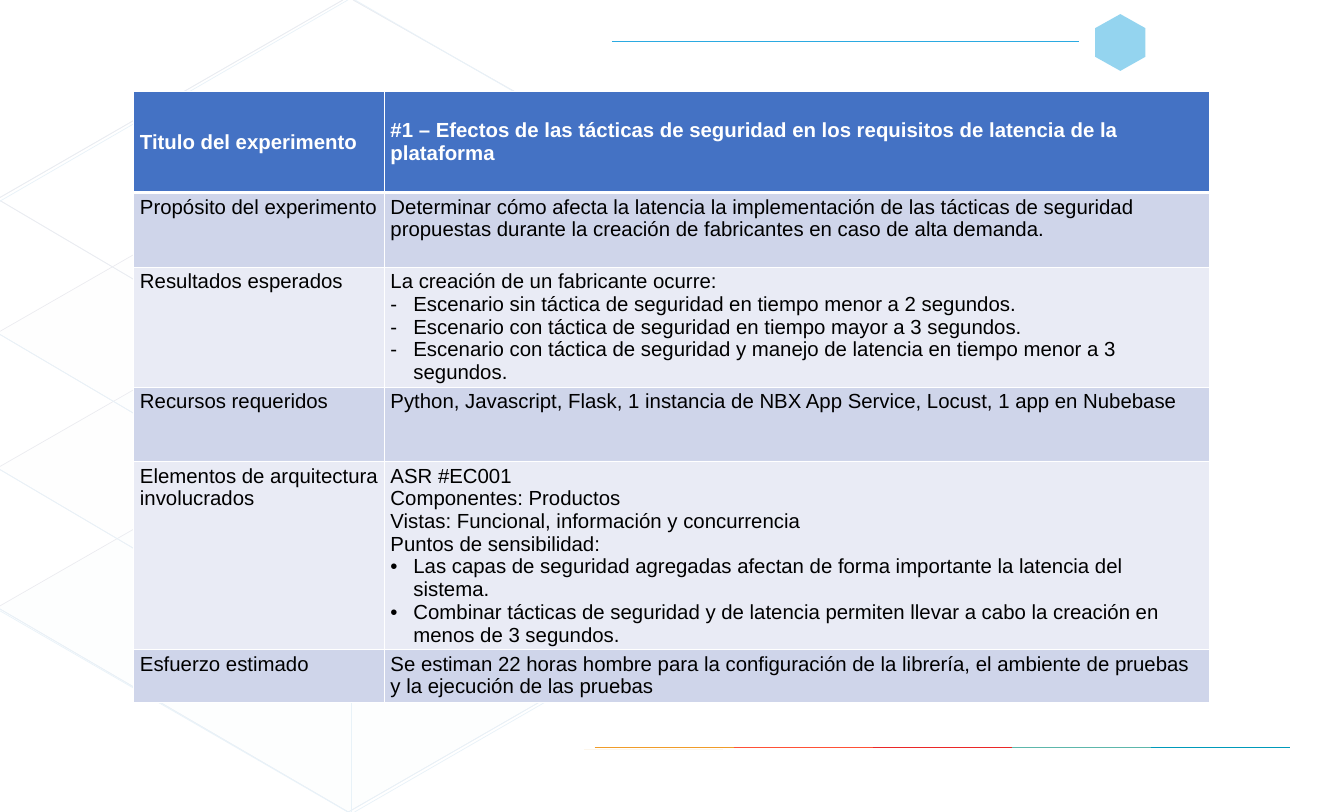
from dataclasses import dataclass
from typing import Optional

from lxml.etree import SubElement
from pptx import Presentation
from pptx.dml.color import RGBColor
from pptx.enum.shapes import MSO_CONNECTOR as Connector, MSO_SHAPE as Preset
from pptx.enum.text import MSO_ANCHOR as Anchor
from pptx.oxml.ns import qn
from pptx.util import Inches, Pt

WIDTH, HEIGHT = Inches(21.99), Inches(13.28)
FONT = "Arial"
WHITE = RGBColor(0xFF, 0xFF, 0xFF)
BLACK = RGBColor(0x00, 0x00, 0x00)
SKY = RGBColor(0x2B, 0xAA, 0xE1)
BLUE = RGBColor(0x08, 0x70, 0xB7)
NAVY = RGBColor(0x28, 0x28, 0x5B)
ORANGE = RGBColor(0xF0, 0x9C, 0x29)
CORAL = RGBColor(0xFF, 0x51, 0x36)
RED = RGBColor(0xEA, 0x28, 0x28)
MINT = RGBColor(0x5D, 0xB7, 0xAB)
TEAL = RGBColor(0x00, 0x9A, 0xBA)
HEADER_FILL = RGBColor(0x44, 0x72, 0xC4)
BAND_FILLS = (RGBColor(0xE9, 0xEB, 0xF5), RGBColor(0xCF, 0xD5, 0xEA))

Point = tuple[float, float]


@dataclass(frozen=True)
class Outline:
    points: tuple[Point, ...]
    color: RGBColor
    opacity: Optional[int] = None


@dataclass(frozen=True)
class Rule:
    start: Point
    end: Point
    color: RGBColor
    weight: float = 0.86


@dataclass(frozen=True)
class Entry:
    text: str
    bullet: str = ""


@dataclass(frozen=True)
class Row:
    height: float
    label: str
    entries: tuple[Entry, ...]


def across(percent: float) -> int:
    return round(WIDTH * percent / 100)


def down(percent: float) -> int:
    return round(HEIGHT * percent / 100)


def fill_shape(shape, color: RGBColor, opacity: int) -> None:
    shape.shadow.inherit = False
    shape.fill.solid()
    shape.fill.fore_color.rgb = color
    shape.line.fill.background()
    tint = next(shape._element.spPr.iter(qn("a:srgbClr")))
    SubElement(tint, qn("a:alpha"), val=str(opacity * 1000))


def draw_outline(slide, outline: Outline) -> None:
    first, *rest = [(across(x), down(y)) for x, y in outline.points]
    builder = slide.shapes.build_freeform(*first)
    builder.add_line_segments(rest, close=outline.opacity is not None)
    shape = builder.convert_to_shape()
    if outline.opacity is not None:
        fill_shape(shape, outline.color, outline.opacity)
        return
    shape.shadow.inherit = False
    shape.fill.background()
    shape.line.color.rgb = outline.color
    shape.line.width = Pt(0.86)


def draw_rule(slide, rule: Rule) -> None:
    (x1, y1), (x2, y2) = rule.start, rule.end
    line = slide.shapes.add_connector(
        Connector.STRAIGHT, across(x1), down(y1), across(x2), down(y2))
    line.line.color.rgb = rule.color
    line.line.width = Pt(rule.weight)
    SubElement(line._element.spPr, qn("a:effectLst"))


def draw_tier(slide, top: float, opacity: int) -> None:
    left, peak, right, base, low = (
        (0, top + 24.62), (25.92, top), (52.34, top + 24.85),
        (25.92, min(top + 50.3, 100)), (0, top + 25))
    draw_outline(slide, Outline((left, peak, right, base, low), SKY, opacity))
    draw_outline(slide, Outline((left, peak, right, base, low), NAVY))
    draw_outline(slide, Outline((right, base, low), BLUE))


def write_cell(cell, entries: tuple[Entry, ...], header: bool) -> None:
    for index, entry in enumerate(entries):
        frame = cell.text_frame
        paragraph = frame.add_paragraph() if index else frame.paragraphs[0]
        if entry.bullet:
            properties = paragraph._p.get_or_add_pPr()
            properties.set("marL", "342900")
            properties.set("indent", "-342900")
            SubElement(properties, qn("a:buFont"), typeface=FONT)
            SubElement(properties, qn("a:buChar"), char=entry.bullet)
        run = paragraph.add_run()
        run.text = entry.text
        run.font.name = FONT
        run.font.size = Pt(24)
        run.font.bold = header
        run.font.color.rgb = WHITE if header else BLACK


def style_cell(cell, row: int) -> None:
    cell.vertical_anchor = Anchor.TOP if row else Anchor.MIDDLE
    cell.fill.solid()
    cell.fill.fore_color.rgb = BAND_FILLS[row % 2] if row else HEADER_FILL
    properties = cell._tc.get_or_add_tcPr()
    weights = {"L": 1, "R": 1, "T": 3 if row == 1 else 1, "B": 1 if row else 3}
    for index, (side, weight) in enumerate(weights.items()):
        border = SubElement(properties, qn(f"a:ln{side}"), w=str(Pt(weight)))
        solid = SubElement(border, qn("a:solidFill"))
        SubElement(solid, qn("a:srgbClr"), val=str(WHITE))
        properties.insert(index, border)


def draw_table(slide, rows: tuple[Row, ...]) -> None:
    widths = (18.64, 61.35)
    table = slide.shapes.add_table(
        len(rows), len(widths), across(9.96), down(11.3),
        across(sum(widths)), down(sum(row.height for row in rows))).table
    for column, width in zip(table.columns, widths):
        column.width = across(width)
    for index, row in enumerate(rows):
        table.rows[index].height = down(row.height)
        for column, entries in enumerate(((Entry(row.label),), row.entries)):
            cell = table.cell(index, column)
            write_cell(cell, entries, header=index == 0)
            style_cell(cell, index)


TIERS = ((50, 6), (32.83, 4), (16.19, 2))
CUBE_TOP = ((26.28, 0), (52.34, 24.47), (25.92, 50), (0, 24.7))
CUBE_OUTLINES = (
    Outline(CUBE_TOP, BLUE),
    Outline(CUBE_TOP, NAVY),
    Outline(((52.43, 75.15), (52.43, 24.85), (26.42, 0)), BLUE),
)
CUBE_EDGES = (
    Rule((0, 24.32), (25.51, 0), BLUE),
    Rule((0, 24.32), (25.51, 0), NAVY),
    Rule((25.88, 0), (0, 24.77), BLUE),
    Rule((0, 75.23), (25.88, 100), BLUE),
    Rule((26.38, 100), (52.43, 75.15), BLUE),
    Rule((26.15, 49.7), (26.15, 100), BLUE),
    Rule((43.47, 92.32), (53.8, 92.32), ORANGE, 1.71),
)
EMBLEM = Outline(((83.36, 1.73), (85.22, 3.46), (85.22, 7), (83.36, 8.73),
                  (81.49, 7), (81.49, 3.46)), SKY, 50)
TOP_RULE = Rule((45.52, 5.12), (80.26, 5.12), SKY)
FOOTER_COLORS = (ORANGE, CORAL, RED, MINT, TEAL)
FOOTER_LEFT, FOOTER_STEP, FOOTER_Y = 44.25, 10.34, 92.09

EXPERIMENT = (
    Row(12.42, "Titulo del experimento", (
        Entry("#1 – Efectos de las tácticas de seguridad en los requisitos de latencia de la plataforma"),)),
    Row(9.19, "Propósito del experimento", (
        Entry("Determinar cómo afecta la latencia la implementación de las tácticas de seguridad "
              "propuestas durante la creación de fabricantes en caso de alta demanda."),)),
    Row(9.19, "Resultados esperados", (
        Entry("La creación de un fabricante ocurre:"),
        Entry("Escenario sin táctica de seguridad en tiempo menor a 2 segundos.", "-"),
        Entry("Escenario con táctica de seguridad en tiempo mayor a 3 segundos.", "-"),
        Entry("Escenario con táctica de seguridad y manejo de latencia en tiempo menor a 3 segundos.", "-"))),
    Row(9.19, "Recursos requeridos", (
        Entry("Python, Javascript, Flask, 1 instancia de NBX App Service, Locust, 1 app en Nubebase"),)),
    Row(13.18, "Elementos de arquitectura involucrados", (
        Entry("ASR #EC001"),
        Entry("Componentes: Productos"),
        Entry("Vistas: Funcional, información y concurrencia"),
        Entry("Puntos de sensibilidad:"),
        Entry("Las capas de seguridad agregadas afectan de forma importante la latencia del sistema.", "•"),
        Entry("Combinar tácticas de seguridad y de latencia permiten llevar a cabo la creación en "
              "menos de 3 segundos.", "•"))),
    Row(6.48, "Esfuerzo estimado", (
        Entry("Se estiman 22 horas hombre para la configuración de la librería, el ambiente de pruebas y "
              "la ejecución de las pruebas"),)),
)


def main() -> None:
    deck = Presentation()
    deck.slide_width, deck.slide_height = WIDTH, HEIGHT
    slide = deck.slides.add_slide(deck.slide_layouts[6])
    for top, opacity in TIERS:
        draw_tier(slide, top, opacity)
    for outline in CUBE_OUTLINES:
        draw_outline(slide, outline)
    for edge in CUBE_EDGES:
        draw_rule(slide, edge)
    veil = slide.shapes.add_shape(Preset.RECTANGLE, 0, 0, WIDTH, HEIGHT)
    fill_shape(veil, WHITE, 91)
    draw_outline(slide, EMBLEM)
    draw_rule(slide, TOP_RULE)
    for index, color in enumerate(FOOTER_COLORS):
        left = FOOTER_LEFT + index * FOOTER_STEP
        draw_rule(slide, Rule((left, FOOTER_Y), (left + FOOTER_STEP, FOOTER_Y), color, 1.71))
    draw_table(slide, EXPERIMENT)
    deck.save("out.pptx")


if __name__ == "__main__":
    main()
